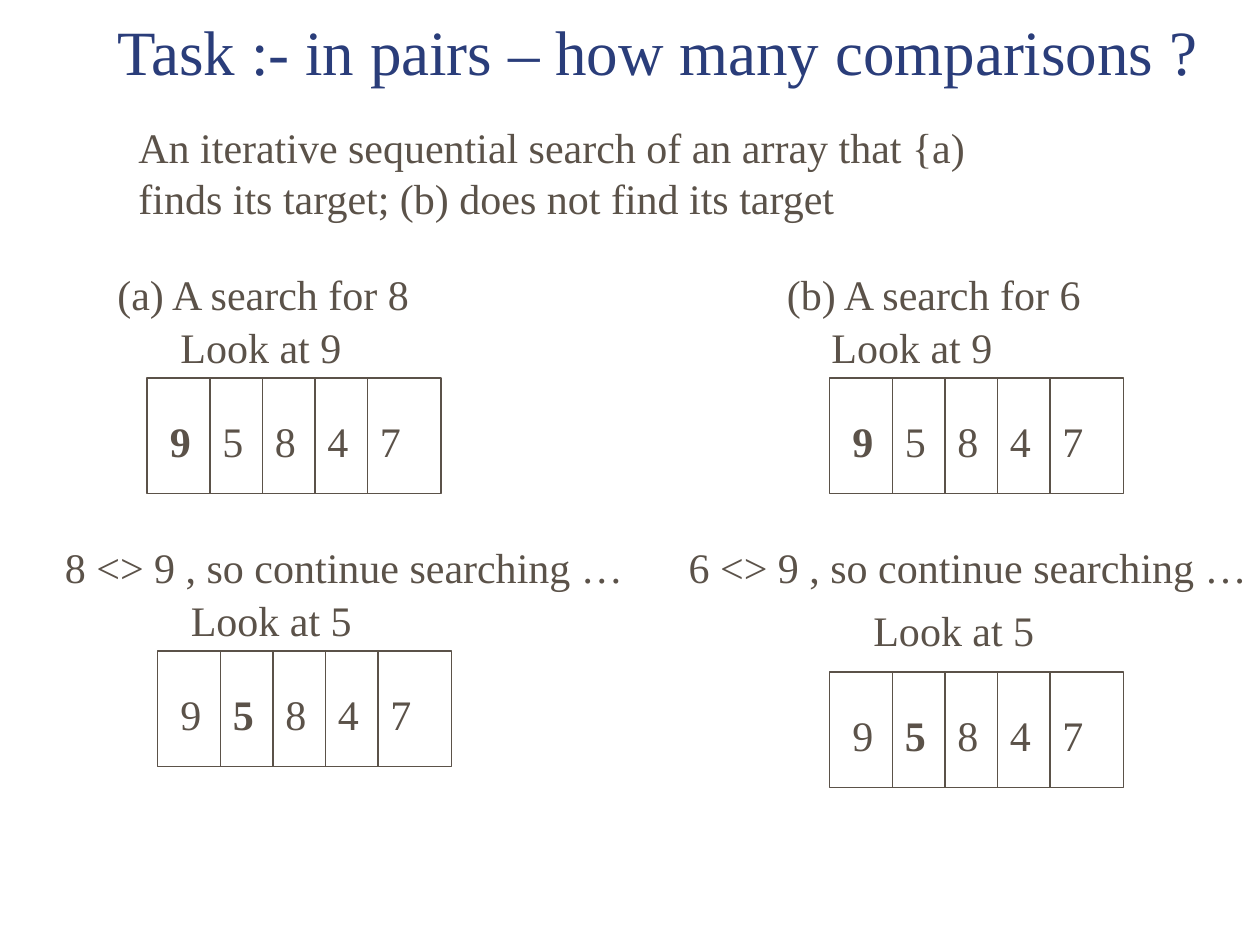
"""Build a slide that traces two sequential searches through an array."""
import dataclasses

import pptx
import pptx.dml.color
import pptx.enum.shapes
import pptx.enum.text
import pptx.oxml
import pptx.oxml.ns
import pptx.util

NAVY = pptx.dml.color.RGBColor(0x2A, 0x3D, 0x7A)
BROWN = pptx.dml.color.RGBColor(0x5B, 0x52, 0x49)
WHITE = pptx.dml.color.RGBColor(0xFF, 0xFF, 0xFF)
FONT = "Times New Roman"
DIGITS = "95847"
ARRAY_WIDTH, ARRAY_HEIGHT = 28, 11
FIRST_CELL, CELL = 6, 5
LINE_HEIGHT = 6


@dataclasses.dataclass(frozen=True)
class Caption:
    text: str
    column: float
    row: float
    width: float
    height: float = LINE_HEIGHT
    wrap: bool = True
    tabs: tuple[float, ...] = ()


@dataclasses.dataclass(frozen=True)
class Array:
    column: float
    row: float
    looked_at: int


CAPTIONS = (
    Caption("An iterative sequential search of an array that {a) finds its target; "
            "(b) does not find its target", 12, 11, 86, 10.8),
    Caption("(a) A search for 8\t(b) A search for 6", 10, 25, 105, tabs=(63.75,)),
    Caption("Look at 9", 16, 30, 32),
    Caption("Look at 9", 78, 30, 32),
    Caption("8 <> 9 , so continue searching …", 5, 51, 59),
    Caption("6 <> 9 , so continue searching …", 64.4, 51, 55.6, wrap=False),
    Caption("Look at 5", 17, 56, 17.8, wrap=False),
    Caption("Look at 5", 82, 57, 17.8, wrap=False),
)
ARRAYS = (Array(14, 36, 0), Array(15, 62, 1), Array(79, 36, 0), Array(79, 64, 1))


def grid(count: float) -> pptx.util.Length:
    """Convert grid units, twelve to the inch, to a length."""
    return pptx.util.Inches(count / 12)


def add_text(page, text: str, column: float, row: float, width: float, height: float, *,
             size: int = 24, color=BROWN, wrap: bool = True, bold_index: int | None = None,
             tabs: tuple[float, ...] = (), anchor=pptx.enum.text.MSO_ANCHOR.TOP) -> None:
    """Add a text box, with tab stops and one bold character if asked."""
    box = page.shapes.add_textbox(grid(column), grid(row), grid(width), grid(height))
    frame = box.text_frame
    frame.word_wrap = wrap
    frame.vertical_anchor = anchor
    para = frame.paragraphs[0]
    if tabs:
        properties = para._p.get_or_add_pPr()
        stops = pptx.oxml.ns.qn("a:tabLst")
        tab_list = properties.makeelement(stops, {})
        properties.append(tab_list)
        for stop in tabs:
            tab_list.append(tab_list.makeelement(
                pptx.oxml.ns.qn("a:tab"), {"pos": str(int(grid(stop))), "algn": "l"}))
    if bold_index is None:
        pieces = [(text, False)]
    else:
        pieces = [(text[:bold_index], False), (text[bold_index], True),
                  (text[bold_index + 1:], False)]
    for piece, bold in pieces:
        if piece:
            span = para.add_run()
            span.text = piece
            span.font.name = FONT
            span.font.size = pptx.util.Pt(size)
            span.font.bold = bold
            span.font.color.rgb = color


def add_array(page, array: Array) -> None:
    """Draw an array frame, its dividers and its digits."""
    frame = page.shapes.add_shape(
        pptx.enum.shapes.MSO_SHAPE.RECTANGLE, grid(array.column), grid(array.row),
        grid(ARRAY_WIDTH), grid(ARRAY_HEIGHT))
    frame.shadow.inherit = False
    frame.fill.solid()
    frame.fill.fore_color.rgb = WHITE
    frame.line.color.rgb = BROWN
    frame.line.width = pptx.util.Pt(0.74)
    add_text(page, "\t".join(DIGITS), array.column + 1, array.row + 3,
             ARRAY_WIDTH - 1, LINE_HEIGHT, bold_index=2 * array.looked_at,
             tabs=tuple(CELL * index for index in range(1, len(DIGITS))))
    for index in range(len(DIGITS) - 1):
        column = array.column + FIRST_CELL + CELL * index
        divider = page.shapes.add_connector(
            pptx.enum.shapes.MSO_CONNECTOR.STRAIGHT, grid(column), grid(array.row),
            grid(column), grid(array.row + ARRAY_HEIGHT))
        divider.line.color.rgb = BROWN
        divider.line.width = pptx.util.Pt(0.74)
        properties = divider._element.spPr
        properties.append(properties.makeelement(pptx.oxml.ns.qn("a:effectLst"), {}))


def main() -> None:
    """Create and save the deck."""
    deck = pptx.Presentation()
    deck.slide_width, deck.slide_height = grid(120), grid(90)
    page = deck.slides.add_slide(deck.slide_layouts[6])
    add_text(page, "Task :- in pairs – how many comparisons ?", 10, 0, 110, 9,
             size=36, color=NAVY, anchor=pptx.enum.text.MSO_ANCHOR.BOTTOM)
    for array in ARRAYS:
        add_array(page, array)
    for caption in CAPTIONS:
        add_text(page, caption.text, caption.column, caption.row, caption.width,
                 caption.height, wrap=caption.wrap, tabs=caption.tabs)
    deck.save("out.pptx")


main()
